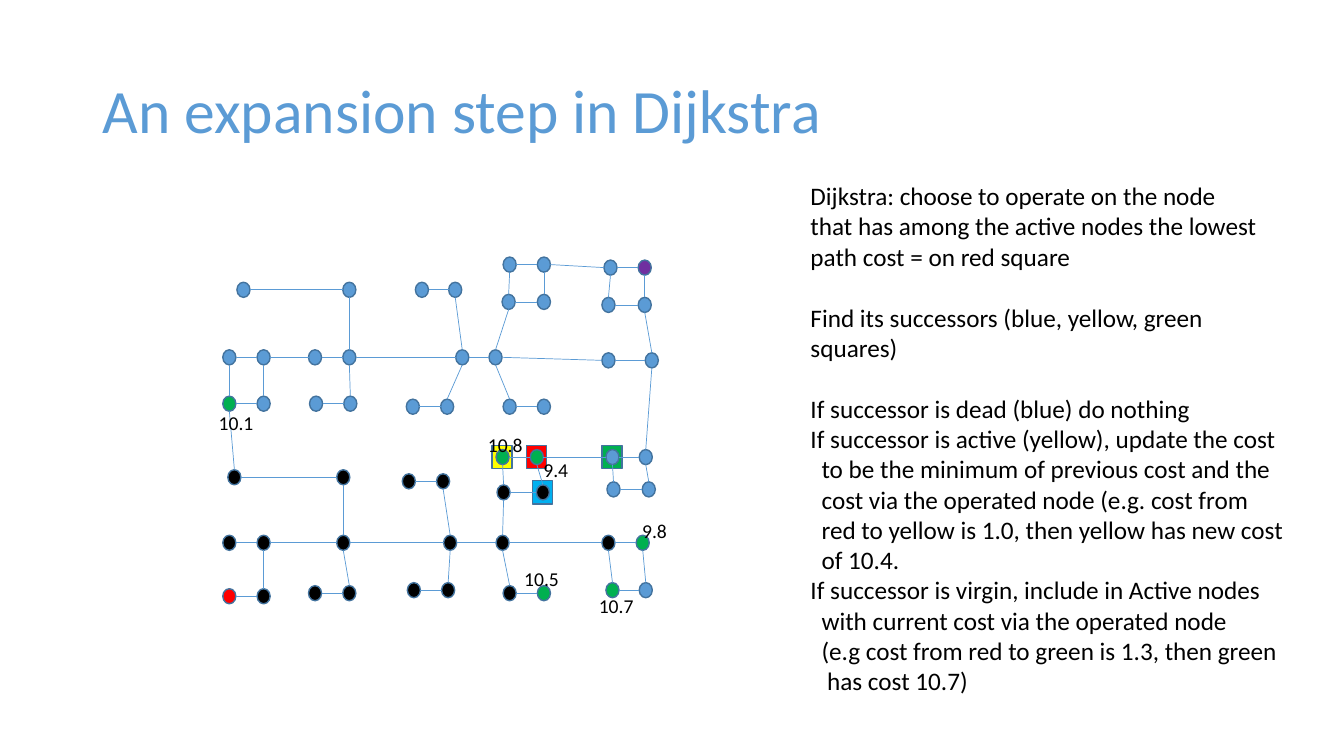
"""Build the slide that explains one expansion step of Dijkstra's algorithm."""
from dataclasses import dataclass
from itertools import pairwise

from lxml import etree
from pptx import Presentation
from pptx.dml.color import RGBColor
from pptx.enum.shapes import MSO_CONNECTOR, MSO_SHAPE
from pptx.enum.text import MSO_ANCHOR
from pptx.oxml.ns import qn
from pptx.util import Inches, Pt

STRAIGHT = MSO_CONNECTOR.STRAIGHT
ELLIPSE, RECTANGLE = MSO_SHAPE.OVAL, MSO_SHAPE.RECTANGLE
MIDDLE, TOP = MSO_ANCHOR.MIDDLE, MSO_ANCHOR.TOP
SITE_TOP, SITE_LEFT, SITE_BOTTOM, SITE_RIGHT = 0, 2, 4, 6

CELL = Inches(0.01)
COLUMNS, ROWS = 1333, 750
NODE_SIZE, SQUARE_SIZE = (13, 15), (20, 23)
SQUARE_MARGIN = 4
INDENT = 11
LABEL_HEIGHT, LABEL_PADDING, CHARACTER_WIDTH = 34, 15, 10


@dataclass(frozen=True)
class Theme:
    """Hold the colours, font and type sizes of the slide."""
    font: str = "Calibri"
    accent: str = "5B9BD5"
    outline: str = "43739E"
    ink: str = "000000"
    red: str = "FF0000"
    purple: str = "7030A0"
    green: str = "00B050"
    yellow: str = "FFFF00"
    blue: str = "00B0F0"
    title_size: int = 44
    body_size: int = 18
    label_size: int = 14
    gap: int = 22
    outline_width: float = 1
    edge_width: float = 0.5


THEME = Theme()

STATE_COLORS = {
    "v": THEME.accent, "d": THEME.ink, "a": THEME.green,
    "s": THEME.red, "g": THEME.purple,
}

NODE_ROWS = {
    "a": (255, "vv", (499, 533)),
    "b": (258, "vg", (599, 633)),
    "c": (280, "vvvv", (235, 340, 412, 445)),
    "d": (292, "vv", (498, 533)),
    "e": (295, "vv", (597, 633)),
    "f": (347, "vvvvvv", (221, 255, 306, 340, 452, 485)),
    "g": (350, "vv", (597, 640)),
    "h": (393, "avvv", (221, 255, 307, 341)),
    "i": (396, "vvvv", (403, 437, 499, 533)),
    "j": (446, "aavv", (492, 526, 601, 634)),
    "k": (466, "dd", (226, 334)),
    "l": (470, "dd", (399, 433)),
    "m": (481, "dd", (493, 532)),
    "n": (478, "vv", (602, 637)),
    "o": (531, "dddddda", (221, 255, 334, 440, 492, 597, 631)),
    "p": (578, "ddav", (404, 438, 601, 634)),
    "q": (581, "ddda", (306, 340, 499, 533)),
    "r": (584, "sd", (221, 255)),
}

NODES = {
    row_name + column_name: (column, row, STATE_COLORS[state])
    for row_name, (row, states, columns) in NODE_ROWS.items()
    for column_name, state, column in zip("abcdefg", states, columns)
}

ROADS = [
    "ra rb ob", "oa ob oc od oe of og pd pc of", "oc qb qa", "od pb pa",
    "od lb la", "oe qc qd", "oc kb ka ha hb fb fa ha",
    "fb fc fd fe ff ga gb jd jc jb ja ma oe", "fd hd hc", "fe ib ia",
    "fe cd cc", "fd cb ca", "jd nb na jc", "jb mb ma", "ff ic id",
    "ff da aa ab ba bb eb gb", "da db ab", "ba ea eb",
]

SQUARES = {"jb": THEME.red, "ja": THEME.yellow, "mb": THEME.blue, "jc": THEME.green}

COSTS = [
    ("10.1", 207, 403), ("10.5", 510, 558), ("10.8", 474, 425),
    ("9.4", 529, 449), ("10.7", 584, 584), ("9.8", 627, 510),
]

EXPLANATION = [
    [
        ("Dijkstra: choose to operate on the node", 0),
        ("that has among the active nodes the lowest", 0),
        ("path cost = on red square", 0),
    ],
    [
        ("Find its successors (blue, yellow, green", 0),
        ("squares)", 0),
    ],
    [
        ("If successor is dead (blue) do nothing", 0),
        ("If successor is active (yellow), update the cost", 0),
        ("to be the minimum of previous cost and the", 1),
        ("cost via the operated node (e.g. cost from", 1),
        ("red to yellow is 1.0, then yellow has new cost", 1),
        ("of 10.4.", 1),
        ("If successor is virgin, include in Active nodes", 0),
        ("with current cost via the operated node", 1),
        ("(e.g cost from red to green is 1.3, then green", 1),
        ("has cost 10.7)", 1.5),
    ],
]


class SlideBuilder:
    """Draw styled elements on the current slide, in grid cells."""

    def __init__(self, slide, theme):
        """Keep the slide and its theme."""
        self.shapes = slide.shapes
        self.theme = theme

    def marker(self, preset, column, row, size, color):
        """Draw a filled and outlined preset shape."""
        shape = self.shapes.add_shape(
            preset, *(CELL * cells for cells in (column, row, *size)))
        shape.shadow.inherit = False
        shape.fill.solid()
        shape.fill.fore_color.rgb = RGBColor.from_string(color)
        shape.line.color.rgb = RGBColor.from_string(self.theme.outline)
        shape.line.width = Pt(self.theme.outline_width)
        return shape

    def edge(self, start, end):
        """Connect the facing sides of two nodes with a thin line."""
        across, down = end.left - start.left, end.top - start.top
        if abs(across) > abs(down):
            sites, forward = (SITE_RIGHT, SITE_LEFT), across > 0
        else:
            sites, forward = (SITE_BOTTOM, SITE_TOP), down > 0
        start_site, end_site = sites if forward else sites[::-1]
        line = self.shapes.add_connector(
            STRAIGHT, *self.site_point(start, start_site), *self.site_point(end, end_site))
        line.line.color.rgb = RGBColor.from_string(self.theme.accent)
        line.line.width = Pt(self.theme.edge_width)
        etree.SubElement(line._element.spPr, qn("a:effectLst"))

    def site_point(self, node, site):
        """Return the point at the middle of one side of a node."""
        across = {SITE_LEFT: 0, SITE_RIGHT: 1}.get(site, 0.5)
        down = {SITE_TOP: 0, SITE_BOTTOM: 1}.get(site, 0.5)
        return int(node.left + node.width * across), int(node.top + node.height * down)

    def text(self, groups, area, size, color, wrap=True, anchor=TOP, spacing=1.0):
        """Write groups of indented lines with a gap between groups."""
        box = self.shapes.add_textbox(*(CELL * cells for cells in area))
        frame = box.text_frame
        for name, value in {"word_wrap": wrap, "vertical_anchor": anchor}.items():
            setattr(frame, name, value)
        font_format = {"name": self.theme.font, "size": Pt(size)}
        para = None
        for group in groups:
            for position, (words, level) in enumerate(group):
                starts_group = para is not None and position == 0
                para = frame.add_paragraph() if para else frame.paragraphs[0]
                para.line_spacing = spacing
                if starts_group:
                    para.space_before = Pt(self.theme.gap)
                if level:
                    para._p.get_or_add_pPr().set("marL", str(int(CELL * INDENT * level)))
                span = para.add_run()
                span.text = words
                for name, value in font_format.items():
                    setattr(span.font, name, value)
                span.font.color.rgb = RGBColor.from_string(color)


deck = Presentation()
deck.slide_width, deck.slide_height = CELL * COLUMNS, CELL * ROWS
page = SlideBuilder(deck.slides.add_slide(deck.slide_layouts[6]), THEME)

for name, color in SQUARES.items():
    column, row, _ = NODES[name]
    page.marker(RECTANGLE, column - SQUARE_MARGIN, row - SQUARE_MARGIN, SQUARE_SIZE, color)
page.text([[("An expansion step in Dijkstra", 0)]], (92, 40, 1150, 145),
          THEME.title_size, THEME.accent, anchor=MIDDLE, spacing=0.9)
markers = {name: page.marker(ELLIPSE, column, row, NODE_SIZE, color)
           for name, (column, row, color) in NODES.items()}
for road in ROADS:
    for start, end in pairwise(road.split()):
        page.edge(markers[start], markers[end])
page.text(EXPLANATION, (794, 174, 495, 525), THEME.body_size, THEME.ink)
for cost, column, row in COSTS:
    width = LABEL_PADDING + CHARACTER_WIDTH * len(cost)
    page.text([[(cost, 0)]], (column, row, width, LABEL_HEIGHT),
              THEME.label_size, THEME.ink, wrap=False)

deck.save("out.pptx")
